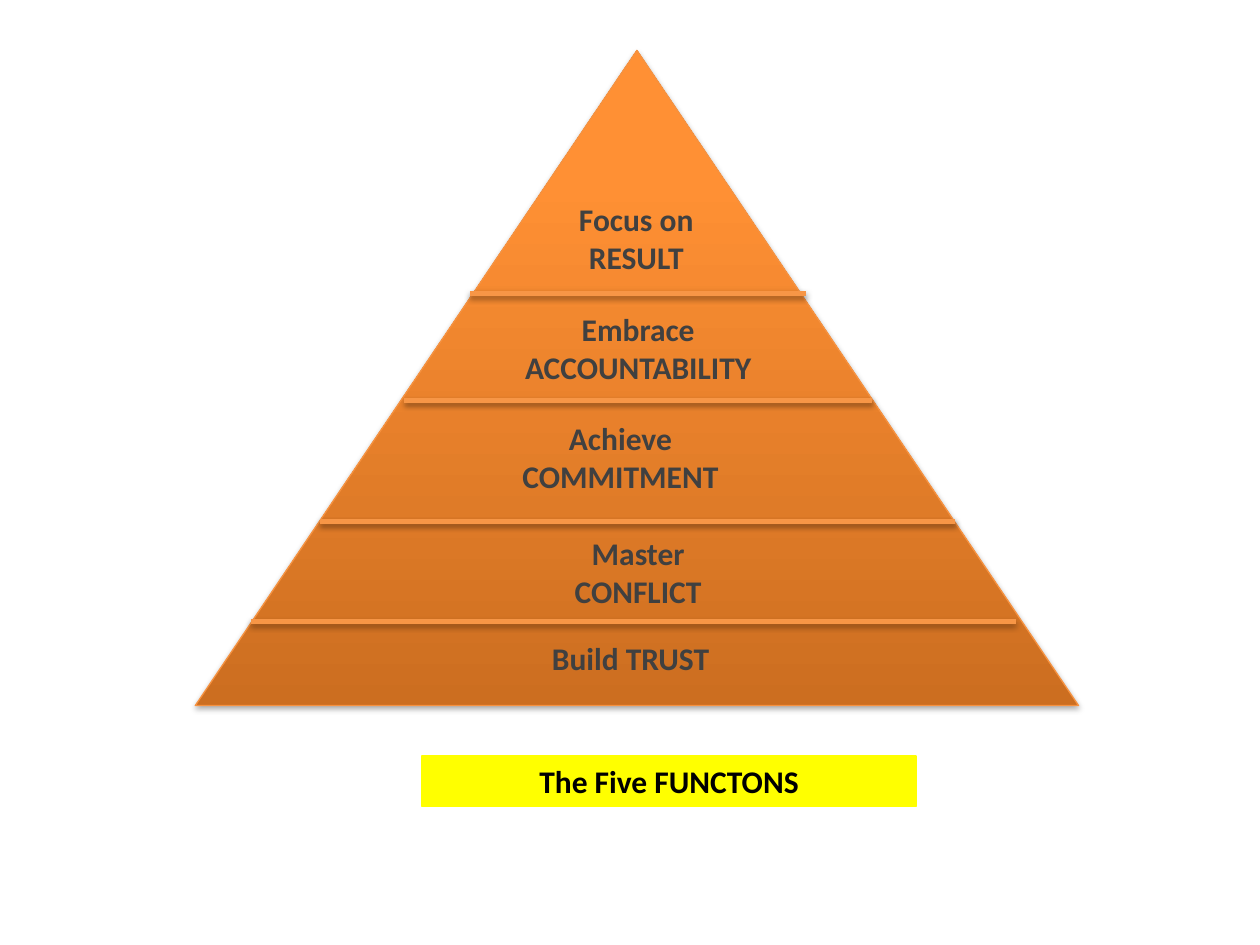
from copy import deepcopy

from pptx import Presentation
from pptx.dml.color import RGBColor
from pptx.enum.shapes import MSO_CONNECTOR, MSO_SHAPE
from pptx.enum.text import MSO_ANCHOR, MSO_AUTO_SIZE, PP_ALIGN
from pptx.oxml import parse_xml
from pptx.oxml.ns import nsdecls
from pptx.util import Inches, Pt

BLACK = RGBColor(0x00, 0x00, 0x00)
DARK_GRAY = RGBColor(0x40, 0x40, 0x40)
YELLOW = RGBColor(0xFF, 0xFF, 0x00)
OUTLINE = RGBColor(0xF6, 0x92, 0x40)
DIVIDER = RGBColor(0xF7, 0x96, 0x46)
GRADIENT = [
    (0, RGBColor(0xCC, 0x6E, 0x20)),
    (0.8, RGBColor(0xFF, 0x90, 0x34)),
    (1, RGBColor(0xFF, 0x91, 0x36)),
]

DIVIDERS = [(1.99, 8.06, 4.93), (2.54, 7.58, 4.14), (3.21, 6.92, 3.18), (3.73, 6.4, 2.33)]
LEVELS = [
    ("Build TRUST", (2.82, 5.02, 4.37, 0.4)),
    ("Achieve\nCOMMITMENT", (3.21, 3.28, 3.43, 0.71)),
    ("Embrace\vACCOUNTABILITY", (3.52, 2.41, 3.09, 0.71)),
    ("Master\nCONFLICT", (3.35, 4.19, 3.43, 0.71)),
    ("Focus on RESULT", (4.25, 1.54, 1.6, 0.71)),
]


def add_shadow(shape):
    """Give a shape or connector a soft shadow falling straight down."""
    shape._element.spPr.append(parse_xml(
        f'<a:effectLst {nsdecls("a")}>'
        '<a:outerShdw blurRad="40000" dist="23000" dir="5400000" rotWithShape="0">'
        '<a:srgbClr val="000000"><a:alpha val="35000"/></a:srgbClr>'
        '</a:outerShdw></a:effectLst>'))


def set_line(shape, color, width):
    """Set the colour and point width of a line."""
    shape.line.color.rgb = color
    shape.line.width = Pt(width)


def fill_gradient(shape):
    """Fill a shape with the three-stop gradient, dark at the bottom."""
    shape.fill.gradient()
    shape.fill.gradient_angle = 90
    stop_list = shape._element.spPr.xpath(".//a:gsLst")[0]
    stop_list.append(deepcopy(stop_list[-1]))
    for stop, (position, color) in zip(shape.fill.gradient_stops, GRADIENT):
        stop.position = position
        stop.color.rgb = color


def add_pyramid(slide, box):
    """Add the triangle behind all levels."""
    shape = slide.shapes.add_shape(MSO_SHAPE.ISOSCELES_TRIANGLE, *map(Inches, box))
    fill_gradient(shape)
    set_line(shape, OUTLINE, 0.75)
    add_shadow(shape)


def add_divider(slide, left, right, top):
    """Add a horizontal line between two levels."""
    ends = map(Inches, (left, top, right, top))
    connector = slide.shapes.add_connector(MSO_CONNECTOR.STRAIGHT, *ends)
    set_line(connector, DIVIDER, 3)
    add_shadow(connector)


def write_text(shape, text, size=18, color=DARK_GRAY, bold=True):
    """Write centred, wrapped text into a shape."""
    frame = shape.text_frame
    frame.word_wrap = True
    frame.auto_size = MSO_AUTO_SIZE.SHAPE_TO_FIT_TEXT
    frame.vertical_anchor = MSO_ANCHOR.TOP
    frame.text = text
    for paragraph in frame.paragraphs:
        paragraph.alignment = PP_ALIGN.CENTER
        for run in paragraph.runs:
            run.font.name = "Calibri"
            run.font.size = Pt(size)
            run.font.bold = bold
            run.font.color.rgb = color


def add_label(slide, text, box):
    """Add the text box of one level."""
    write_text(slide.shapes.add_textbox(*map(Inches, box)), text)


def add_caption(slide, text, box):
    """Add the highlighted caption below the pyramid."""
    shape = slide.shapes.add_shape(MSO_SHAPE.RECTANGLE, *map(Inches, box))
    shape.shadow.inherit = False
    shape.fill.solid()
    shape.fill.fore_color.rgb = YELLOW
    set_line(shape, YELLOW, 0.75)
    write_text(shape, text, color=BLACK)


def main():
    """Build the pyramid slide and save it."""
    presentation = Presentation()
    presentation.slide_width = Inches(10)
    presentation.slide_height = Inches(7.5)
    slide = presentation.slides.add_slide(presentation.slide_layouts[6])
    add_pyramid(slide, (1.55, 0.4, 7.01, 5.2))
    for left, right, top in DIVIDERS:
        add_divider(slide, left, right, top)
    for text, box in LEVELS:
        add_label(slide, text, box)
    add_caption(slide, "The Five FUNCTONS", (3.35, 6, 3.92, 0.4))
    presentation.save("out.pptx")


if __name__ == "__main__":
    main()
